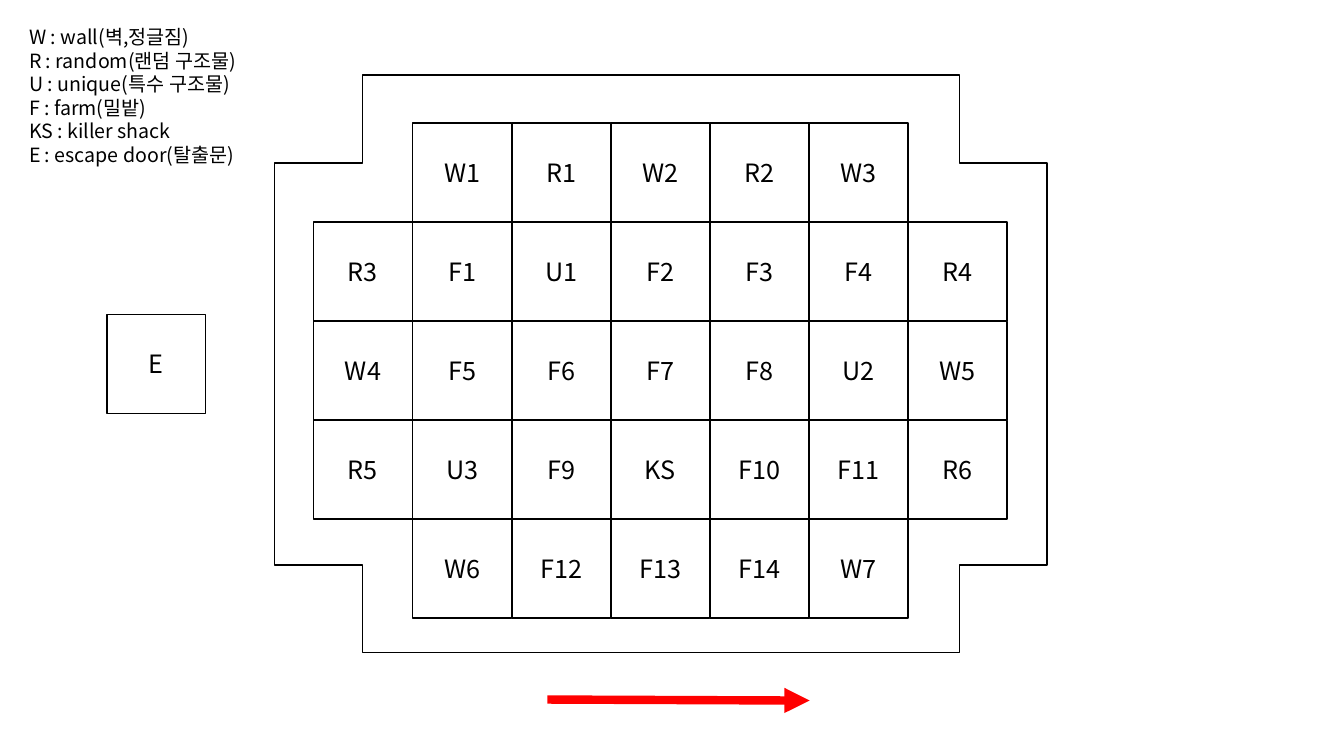
"""Build a slide showing a game map grid with its legend."""
import lxml.etree
import pptx
import pptx.dml.color
import pptx.enum.shapes
import pptx.enum.text
import pptx.oxml.ns
import pptx.util
from dataclasses import dataclass
from pptx.util import Inches

qn = pptx.oxml.ns.qn


@dataclass(frozen=True)
class Theme:
    ink: object = pptx.dml.color.RGBColor(0, 0, 0)
    arrow: object = pptx.dml.color.RGBColor(255, 0, 0)
    face: str = "Noto Sans CJK KR"
    key: int = 14
    lead: float = 16.8
    cell: int = 18


theme = Theme()


def style(para, size):
    for run in para.runs:
        run.font.size = pptx.util.Pt(size)
        run.font.name = theme.face
        run.font.color.rgb = theme.ink
        lxml.etree.SubElement(run.font._element, qn("a:ea"), typeface=theme.face)
    for gap in para._p.findall(qn("a:br")):
        lxml.etree.SubElement(gap, qn("a:rPr"), sz=str(size * 100))


def outline(kind, left, top, width, height):
    shape = slide.shapes.add_shape(
        kind, Inches(left), Inches(top), Inches(width), Inches(height))
    shape.shadow.inherit = False
    shape.fill.background()
    shape.line.color.rgb = theme.ink
    shape.line.width = pptx.util.Pt(1)
    return shape


deck = pptx.Presentation()
deck.slide_width = Inches(13.33)
deck.slide_height = Inches(7.5)
slide = deck.slides.add_slide(deck.slide_layouts[6])
kinds = pptx.enum.shapes.MSO_SHAPE

border = outline(kinds.CROSS, 3.69, -0.22, 5.73, 7.66)
border.adjustments[0] = 0.152
border.rotation = 270

legend = slide.shapes.add_textbox(
    Inches(0.19), Inches(0.2), Inches(2.34), Inches(1.51)).text_frame
legend.word_wrap = True
legend.auto_size = pptx.enum.text.MSO_AUTO_SIZE.SHAPE_TO_FIT_TEXT
legend.text = "\n".join([
    "W : wall(벽,정글짐)",
    "R : random(랜덤 구조물)",
    "U : unique(특수 구조물)",
    "F : farm(밀밭)",
    "KS : killer shack\vE : escape door(탈출문)",
])
for para in legend.paragraphs:
    para.line_spacing = pptx.util.Pt(theme.lead)
    style(para, theme.key)

grid = [
    (1, "W1 R1 W2 R2 W3"),
    (0, "R3 F1 U1 F2 F3 F4 R4"),
    (0, "W4 F5 F6 F7 F8 U2 W5"),
    (0, "R5 U3 F9 KS F10 F11 R6"),
    (1, "W6 F12 F13 F14 W7"),
]
side = 0.98
pitch = 5.9 / 6
tiles = [("E", 1.06, 3.12)]
for row, (start, names) in enumerate(grid):
    for col, name in enumerate(names.split(), start):
        tiles.append((name, 3.11 + col * pitch, 1.22 + row * pitch))

for name, left, top in tiles:
    frame = outline(kinds.RECTANGLE, left, top, side, side).text_frame
    frame.text = name
    frame.vertical_anchor = pptx.enum.text.MSO_ANCHOR.MIDDLE
    para = frame.paragraphs[0]
    para.alignment = pptx.enum.text.PP_ALIGN.CENTER
    style(para, theme.cell)

arrow = slide.shapes.add_connector(
    pptx.enum.shapes.MSO_CONNECTOR.STRAIGHT,
    Inches(5.43), Inches(6.94), Inches(8.03), Inches(6.95))
arrow.line.color.rgb = theme.arrow
arrow.line.width = pptx.util.Pt(6)
lxml.etree.SubElement(arrow.line._get_or_add_ln(), qn("a:tailEnd"), type="triangle")
lxml.etree.SubElement(arrow._element.spPr, qn("a:effectLst"))

deck.save("out.pptx")
